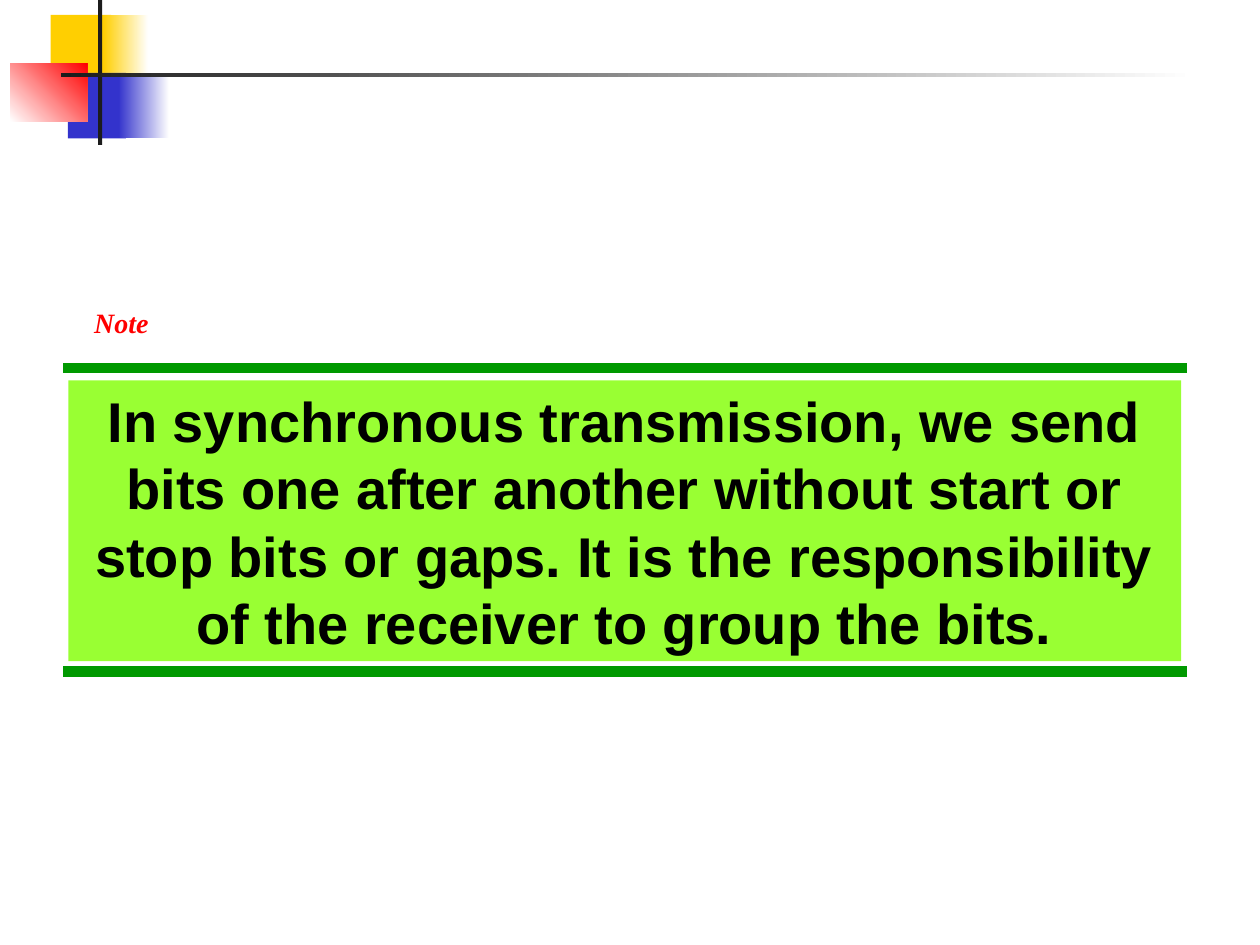
from pptx import Presentation
from pptx.dml.color import RGBColor
from pptx.enum.shapes import MSO_CONNECTOR, MSO_SHAPE
from pptx.enum.text import MSO_ANCHOR, PP_ALIGN
from pptx.oxml.xmlchemy import OxmlElement
from pptx.util import Cm, Pt

YELLOW = RGBColor(0xFF, 0xCF, 0x01)
BLUE = RGBColor(0x33, 0x33, 0xCC)
RED = RGBColor(0xFF, 0x00, 0x00)
WHITE = RGBColor(0xFF, 0xFF, 0xFF)
BLACK = RGBColor(0x00, 0x00, 0x00)
CHARCOAL = RGBColor(0x1C, 0x1C, 0x1C)
GREEN = RGBColor(0x00, 0x99, 0x00)
LIME = RGBColor(0x99, 0xFF, 0x33)

presentation = Presentation()
presentation.slide_width = Cm(25.4)
presentation.slide_height = Cm(19.05)
slide = presentation.slides.add_slide(presentation.slide_layouts[6])


def add_rectangle(left, top, width, height, colors, angle=0):
    """Add a borderless rectangle; two colors make a gradient at a counterclockwise angle."""
    shape = slide.shapes.add_shape(
        MSO_SHAPE.RECTANGLE, Cm(left), Cm(top), Cm(width), Cm(height))
    shape.shadow.inherit = False
    shape.line.fill.background()
    if len(colors) == 1:
        shape.fill.solid()
        shape.fill.fore_color.rgb = colors[0]
    else:
        shape.fill.gradient()
        shape.fill.gradient_angle = angle
        for stop, color in zip(shape.fill.gradient_stops, colors):
            stop.color.rgb = color
    return shape


def format_text(paragraph, font_name, size, color):
    font = paragraph.runs[0].font
    font.name = font_name
    font.size = Pt(size)
    font.bold = True
    font.color.rgb = color


# Corner ornament
add_rectangle(1.02, 0.3, 1.22, 1.32, [YELLOW])
add_rectangle(2.08, 0.3, 0.91, 1.32, [YELLOW, WHITE])
add_rectangle(1.37, 1.47, 1.17, 1.32, [BLUE])
add_rectangle(2.39, 1.47, 1.02, 1.32, [BLUE, WHITE])
add_rectangle(0.21, 1.28, 1.55, 1.17, [WHITE, RED], angle=45)
add_rectangle(1.98, 0, 0.08, 2.92, [CHARCOAL])
add_rectangle(1.23, 1.48, 22.86, 0.08, [CHARCOAL, WHITE])

# Rules above and below the statement
for y in (7.42, 13.54):
    rule = slide.shapes.add_connector(
        MSO_CONNECTOR.STRAIGHT, Cm(1.27), Cm(y), Cm(23.93), Cm(y))
    rule.line.color.rgb = GREEN
    rule.line.width = Pt(6)
    rule._element.spPr.append(OxmlElement("a:effectLst"))

# Statement
statement = add_rectangle(1.38, 7.67, 22.43, 5.66, [LIME])
text_frame = statement.text_frame
text_frame.word_wrap = True
text_frame.vertical_anchor = MSO_ANCHOR.TOP
text_frame.text = (
    "In synchronous transmission, we send bits one after another without "
    "start or stop bits or gaps. It is the responsibility of the receiver "
    "to group the bits.")
paragraph = text_frame.paragraphs[0]
paragraph.alignment = PP_ALIGN.CENTER
format_text(paragraph, "Arial", 32, BLACK)

# Note label
note = slide.shapes.add_textbox(Cm(1.65), Cm(5.51), Cm(2.44), Cm(1.45))
note.text_frame.word_wrap = True
note.text_frame.vertical_anchor = MSO_ANCHOR.BOTTOM
note.text_frame.text = "Note"
paragraph = note.text_frame.paragraphs[0]
format_text(paragraph, "Times New Roman", 16, RED)
paragraph.runs[0].font.italic = True

presentation.save("out.pptx")
